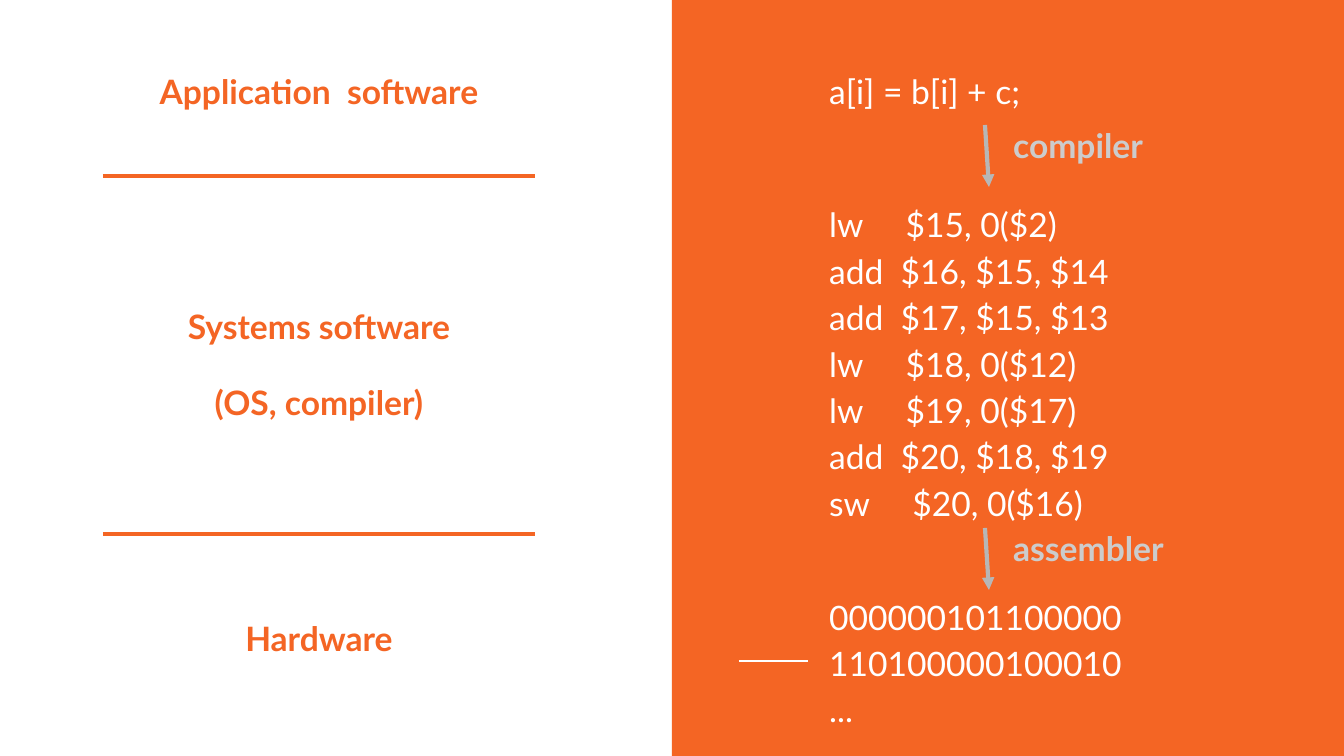
from lxml import etree
from pptx import Presentation
from pptx import util as u
from pptx.dml.color import RGBColor
from pptx.enum import shapes, text
from pptx.oxml import ns

ORANGE = RGBColor(0xF4, 0x65, 0x24)
WHITE = RGBColor(0xFF, 0xFF, 0xFF)
LIGHT_GRAY = RGBColor(0xCC, 0xCC, 0xCC)
ARROW_GRAY = RGBColor(0xB7, 0xB7, 0xB7)

SLIDE_WIDTH, SLIDE_HEIGHT = 1344, 756
EMU_PER_PX = 914400 / 134.4
LAYER_LEFT, LAYER_WIDTH = 103, 432
CODE_LEFT, CODE_WIDTH = 816, 564
STEP_LEFT, STEP_WIDTH = 1000, 312

LAYERS = [
    (51, ["Application  software"]),
    (286, ["Systems software", "(OS, compiler)"]),
    (599, ["Hardware"]),
]
LISTINGS = [
    (51, ["a[i] = b[i] + c;"]),
    (185, [
        "lw     $15, 0($2)",
        "add  $16, $15, $14",
        "add  $17, $15, $13",
        "lw     $18, 0($12)",
        "lw     $19, 0($17)",
        "add  $20, $18, $19",
        "sw     $20, 0($16)",
    ]),
    (577, ["000000101100000", "110100000100010", "..."]),
]
STEPS = [(106, "compiler"), (509, "assembler")]


def px(length):
    return u.Emu(round(length * EMU_PER_PX))


def write_text(frame, lines, color=WHITE, bold=False,
               align=text.PP_ALIGN.LEFT, gap=0):
    for index, line in enumerate(lines):
        paragraph = frame.paragraphs[0] if index == 0 else frame.add_paragraph()
        paragraph.text = line
        paragraph.alignment = align
        paragraph.line_spacing = 1.15
        paragraph.space_before = u.Pt(gap if index else 0)
        paragraph.space_after = u.Pt(0)
        font = paragraph.runs[0].font
        font.name = "Lato"
        font.size = u.Pt(18)
        font.bold = bold
        font.color.rgb = color


class SlideBuilder:
    def __init__(self, slide):
        self.slide = slide

    def panel(self, left, top, width, height, color):
        shape = self.slide.shapes.add_shape(
            shapes.MSO_SHAPE.RECTANGLE, px(left), px(top), px(width), px(height))
        shape.shadow.inherit = False
        shape.fill.solid()
        shape.fill.fore_color.rgb = color
        shape.line.fill.background()

    def text_box(self, left, top, width, lines, **style):
        height = 27 + 46 * len(lines)
        shape = self.slide.shapes.add_textbox(
            px(left), px(top), px(width), px(height))
        frame = shape.text_frame
        frame.word_wrap = True
        frame.vertical_anchor = text.MSO_ANCHOR.TOP
        frame.margin_left = frame.margin_right = u.Inches(0.1)
        frame.margin_top = frame.margin_bottom = u.Inches(0.1)
        write_text(frame, lines, **style)

    def line(self, start, end, color, weight=2.25, arrow=False):
        connector = self.slide.shapes.add_connector(
            shapes.MSO_CONNECTOR.STRAIGHT, *map(px, start + end))
        connector.line.color.rgb = color
        connector.line.width = u.Pt(weight)
        properties = connector._element.spPr
        etree.SubElement(properties, ns.qn("a:effectLst"))
        if arrow:
            outline = properties.find(ns.qn("a:ln"))
            etree.SubElement(outline, ns.qn("a:tailEnd"), type="triangle")


def main():
    presentation = Presentation()
    presentation.slide_width = px(SLIDE_WIDTH)
    presentation.slide_height = px(SLIDE_HEIGHT)
    slide = presentation.slides.add_slide(presentation.slide_layouts[6])
    builder = SlideBuilder(slide)

    builder.panel(SLIDE_WIDTH // 2, 0, SLIDE_WIDTH // 2, SLIDE_HEIGHT, ORANGE)
    builder.line((739, 661), (808, 661), WHITE, weight=1.5)

    for top, lines in LISTINGS:
        builder.text_box(CODE_LEFT, top, CODE_WIDTH, lines)

    for top, name in STEPS:
        builder.line((985, top + 19), (989, top + 81), ARROW_GRAY, arrow=True)
        builder.text_box(STEP_LEFT, top, STEP_WIDTH, [name],
                         color=LIGHT_GRAY, bold=True)

    for top, lines in LAYERS:
        builder.text_box(LAYER_LEFT, top, LAYER_WIDTH, lines, color=ORANGE,
                         bold=True, align=text.PP_ALIGN.CENTER, gap=16)

    for y in (176, 534):
        builder.line((LAYER_LEFT, y), (LAYER_LEFT + LAYER_WIDTH, y), ORANGE)

    presentation.save("out.pptx")


if __name__ == "__main__":
    main()
